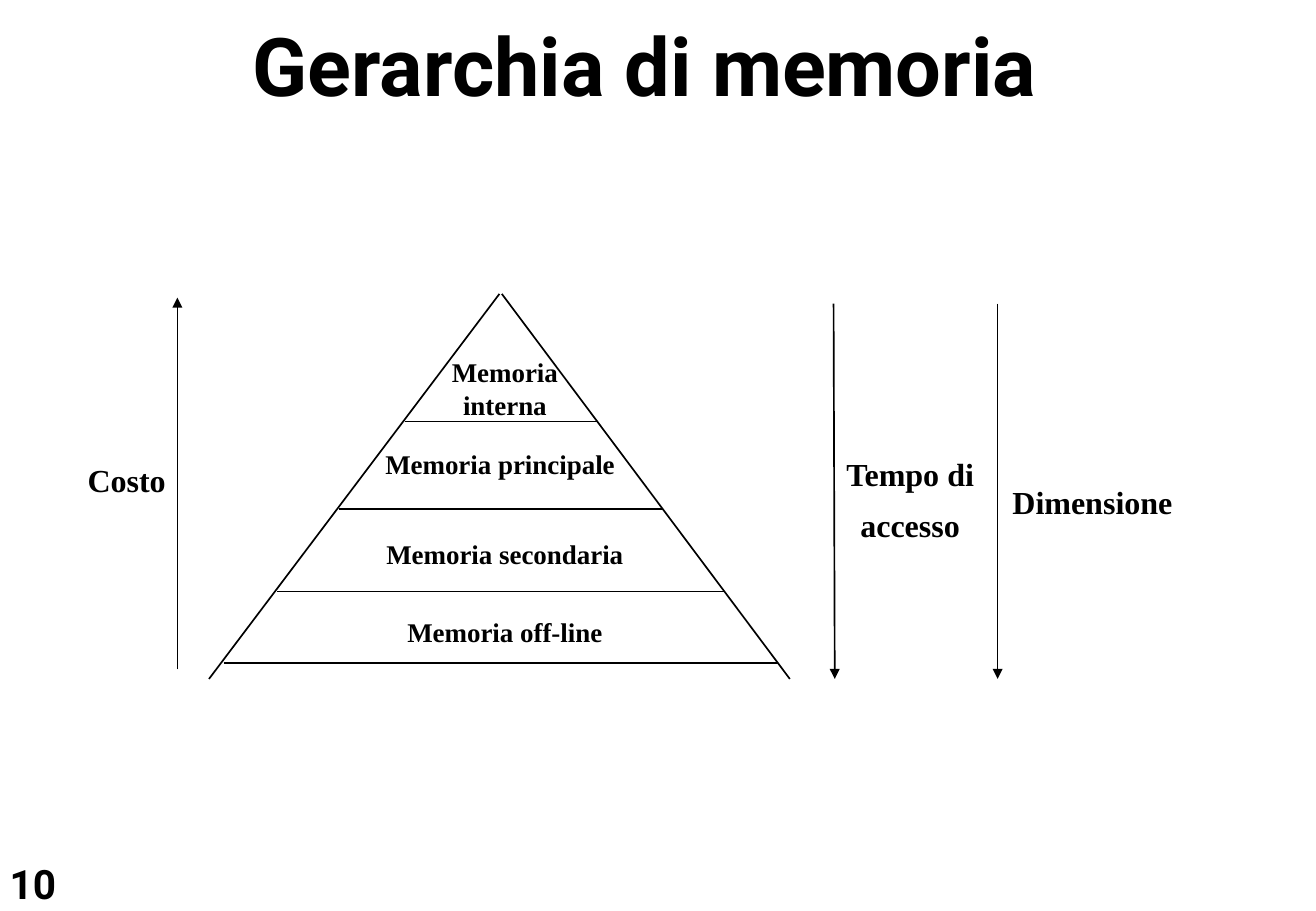
from lxml.etree import SubElement
from pptx import Presentation
from pptx.dml.color import RGBColor
from pptx.enum.shapes import MSO_CONNECTOR
from pptx.enum.text import MSO_AUTO_SIZE, PP_ALIGN
from pptx.oxml.ns import qn
from pptx.util import Emu, Pt

BLACK = RGBColor(0, 0, 0)
WHITE = RGBColor(255, 255, 255)
HEADING_FONT = "Roboto"
LABEL_FONT = "Times New Roman"


def px(length):
    return Emu(length * 9144)


class HierarchySlide:
    def __init__(self, presentation):
        self.slide = presentation.slides.add_slide(presentation.slide_layouts[6])
        self.slide.background.fill.solid()
        self.slide.background.fill.fore_color.rgb = WHITE

    def text(self, box, words, size, font, insets, align=PP_ALIGN.CENTER,
             line_spacing=None, space_before=0):
        shape = self.slide.shapes.add_textbox(*map(px, box))
        frame = shape.text_frame
        frame.word_wrap = False
        frame.auto_size = MSO_AUTO_SIZE.SHAPE_TO_FIT_TEXT
        frame.margin_left = frame.margin_right = px(insets[0])
        frame.margin_top = frame.margin_bottom = px(insets[1])
        frame.text = words
        for paragraph in frame.paragraphs:
            paragraph.alignment = align
            paragraph.line_spacing = line_spacing
            paragraph.space_before = Pt(space_before)
            for run in paragraph.runs:
                run.font.name = font
                run.font.size = Pt(size)
                run.font.bold = True
                run.font.color.rgb = BLACK

    def heading(self, box, words, size, align):
        self.text(box, words, size, HEADING_FONT, (5, 2), align)

    def level_label(self, box, words):
        self.text(box, words, 16, LABEL_FONT, (10, 5),
                  line_spacing=0.6, space_before=8)

    def arrow_label(self, box, words, align=PP_ALIGN.CENTER):
        self.text(box, words, 19, LABEL_FONT, (8, 4), align,
                  line_spacing=0.9, space_before=9.5)

    def line(self, start, end):
        connector = self.slide.shapes.add_connector(
            MSO_CONNECTOR.STRAIGHT, *map(px, start + end))
        connector.line.color.rgb = BLACK
        connector.line.width = Pt(1)
        SubElement(connector._element.spPr, qn("a:effectLst"))
        return connector

    def arrow(self, start, end):
        connector = self.line(start, end)
        SubElement(connector.line._get_or_add_ln(), qn("a:tailEnd"), type="triangle")


def main():
    presentation = Presentation()
    presentation.slide_width = px(1083)
    presentation.slide_height = px(750)
    page = HierarchySlide(presentation)

    page.heading((3, 705, 51, 44), "10", 24, PP_ALIGN.LEFT)
    page.heading((179, 11, 703, 85), "Gerarchia di memoria", 48, PP_ALIGN.CENTER)

    apex_top = 242
    page.line((411, apex_top), (172, 559))
    page.line((413, apex_top), (650, 559))
    levels = [
        (347, (355, 297, 121, 55), "Memoria\ninterna"),
        (419, (302, 373, 219, 26), "Memoria principale"),
        (487, (303, 447, 225, 26), "Memoria secondaria"),
        (546, (320, 511, 191, 26), "Memoria off-line"),
    ]
    for base, box, words in levels:
        half_width = round((base - apex_top) * 0.75)
        page.line((412 - half_width, base), (412 + half_width, base))
        page.level_label(box, words)

    page.arrow((146, 551), (146, 245))
    page.arrow((686, 250), (687, 559))
    page.arrow((821, 250), (821, 559))
    page.arrow_label((64, 379, 81, 36), "Costo", PP_ALIGN.JUSTIFY)
    page.arrow_label((682, 374, 134, 81), "Tempo di\naccesso")
    page.arrow_label((820, 397, 158, 36), "Dimensione")

    presentation.save("out.pptx")


if __name__ == "__main__":
    main()
